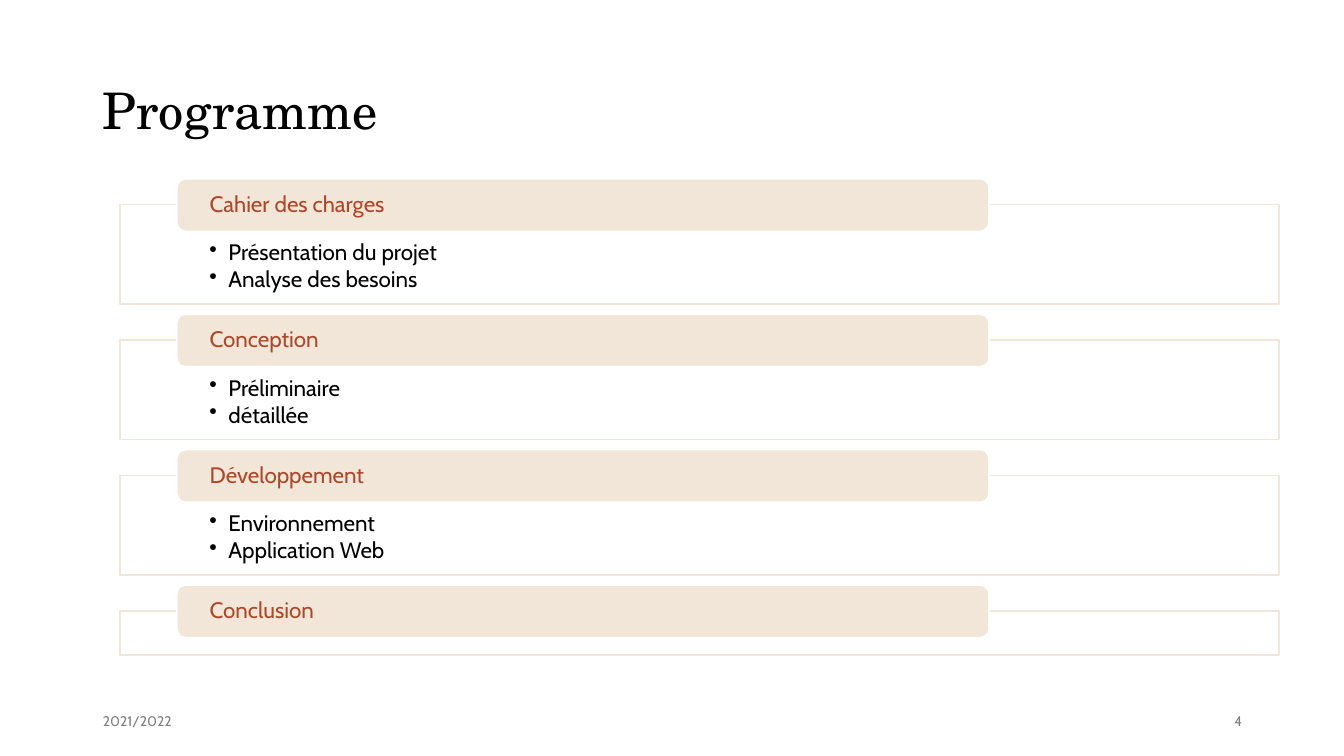
"""Build the "Programme" agenda slide: a title, four labelled panels and a footer."""

from dataclasses import dataclass

from lxml.etree import SubElement
from pptx import Presentation
from pptx.dml.color import RGBColor
from pptx.enum.shapes import MSO_SHAPE as Preset
from pptx.enum.text import MSO_ANCHOR as Anchor, PP_ALIGN as Align
from pptx.oxml.ns import qn
from pptx.shapes.autoshape import Shape
from pptx.slide import Slide
from pptx.text.text import _Paragraph as Paragraph
from pptx.util import Inches, Pt

WIDTH, HEIGHT = Inches(13.33), Inches(7.5)
COLUMN, ROW = WIDTH / 12, HEIGHT / 12

BLACK = RGBColor(0x00, 0x00, 0x00)
WHITE = RGBColor(0xFF, 0xFF, 0xFF)
GREY = RGBColor(0x80, 0x80, 0x80)
SAND = RGBColor(0xF2, 0xE6, 0xD8)
RUST = RGBColor(0xAF, 0x46, 0x27)
HEADING_FONT, BODY_FONT = "TeX Gyre Schola", "Cabin"

FIRST_ROW, PITCH = 3.25, 2.15


@dataclass(frozen=True)
class Area:
    """A rectangle measured in grid columns and rows."""

    column: float
    row: float
    columns: float
    rows: float

    def emu(self) -> tuple[int, int, int, int]:
        return (cols(self.column), rows(self.row),
                cols(self.columns), rows(self.rows))


@dataclass(frozen=True)
class Label:
    area: Area
    text: str
    size: float
    font: str
    color: RGBColor
    align: Align = Align.LEFT
    spacing: float = 1.0


@dataclass(frozen=True)
class Section:
    heading: str
    topics: tuple[str, ...] = ()
    rows: float = 1.58


LABELS = (
    Label(Area(0.83, 1.23, 10.35, 1.12), "Programme", 36, HEADING_FONT, BLACK, spacing=0.9),
    Label(Area(0.83, 11.12, 2.7, 0.64), "2021/2022", 10, BODY_FONT, GREY),
    Label(Area(8.48, 11.12, 2.7, 0.64), "4", 10, BODY_FONT, GREY, Align.RIGHT),
)
SECTIONS = (
    Section("Cahier des charges", ("Présentation du projet", "Analyse des besoins")),
    Section("Conception", ("Préliminaire", "détaillée")),
    Section("Développement", ("Environnement", "Application Web")),
    Section("Conclusion", rows=0.7),
)


def cols(count: float) -> int:
    return round(count * COLUMN)


def rows(count: float) -> int:
    return round(count * ROW)


def style(paragraph: Paragraph, size: float, font: str, color: RGBColor,
          align: Align = Align.LEFT, spacing: float = 0.9) -> None:
    paragraph.alignment = align
    paragraph.line_spacing = spacing
    paragraph.font.size = Pt(size)
    paragraph.font.name = font
    paragraph.font.color.rgb = color


def add_bullet(paragraph: Paragraph) -> None:
    properties = paragraph._p.get_or_add_pPr()
    properties.set("marL", str(cols(0.17)))
    properties.set("indent", str(-cols(0.17)))
    SubElement(properties, qn("a:buChar"), char="•")


def add_label(slide: Slide, label: Label) -> None:
    frame = slide.shapes.add_textbox(*label.area.emu()).text_frame
    frame.word_wrap = True
    frame.vertical_anchor = Anchor.MIDDLE
    frame.text = label.text
    style(frame.paragraphs[0], label.size, label.font, label.color, label.align, label.spacing)


def add_block(slide: Slide, preset: Preset, area: Area, fill: RGBColor, line: RGBColor,
              anchor: Anchor, side: float, top: float, bottom: float) -> Shape:
    block = slide.shapes.add_shape(preset, *area.emu())
    block.shadow.inherit = False
    block.fill.solid()
    block.fill.fore_color.rgb = fill
    block.line.color.rgb = line
    block.line.width = Pt(1)
    frame = block.text_frame
    frame.word_wrap = True
    frame.vertical_anchor = anchor
    frame.margin_left = frame.margin_right = cols(side)
    frame.margin_top, frame.margin_bottom = rows(top), rows(bottom)
    return block


def add_section(slide: Slide, section: Section, row: float) -> None:
    panel = add_block(slide, Preset.RECTANGLE, Area(1.07, row, 10.35, section.rows),
                      WHITE, SAND, Anchor.TOP, 0.8, 0.58, 0.19)
    panel_color = panel.fill._xPr.find(qn("a:solidFill"))[0]
    SubElement(panel_color, qn("a:alpha"), val="90000")
    if section.topics:
        panel.text_frame.text = "\n".join(section.topics)
        for topic in panel.text_frame.paragraphs:
            add_bullet(topic)
            topic.space_after = Pt(2)
            style(topic, 16, BODY_FONT, BLACK)

    tab = add_block(slide, Preset.ROUNDED_RECTANGLE, Area(1.58, row - 0.41, 7.25, 0.83),
                    SAND, WHITE, Anchor.MIDDLE, 0.27, 0, 0)
    tab.text_frame.text = section.heading
    style(tab.text_frame.paragraphs[0], 16, BODY_FONT, RUST)


def main() -> None:
    deck = Presentation()
    deck.slide_width, deck.slide_height = WIDTH, HEIGHT
    slide = deck.slides.add_slide(deck.slide_layouts[6])
    for label in LABELS:
        add_label(slide, label)
    for index, section in enumerate(SECTIONS):
        add_section(slide, section, FIRST_ROW + index * PITCH)
    deck.save("out.pptx")


if __name__ == "__main__":
    main()
